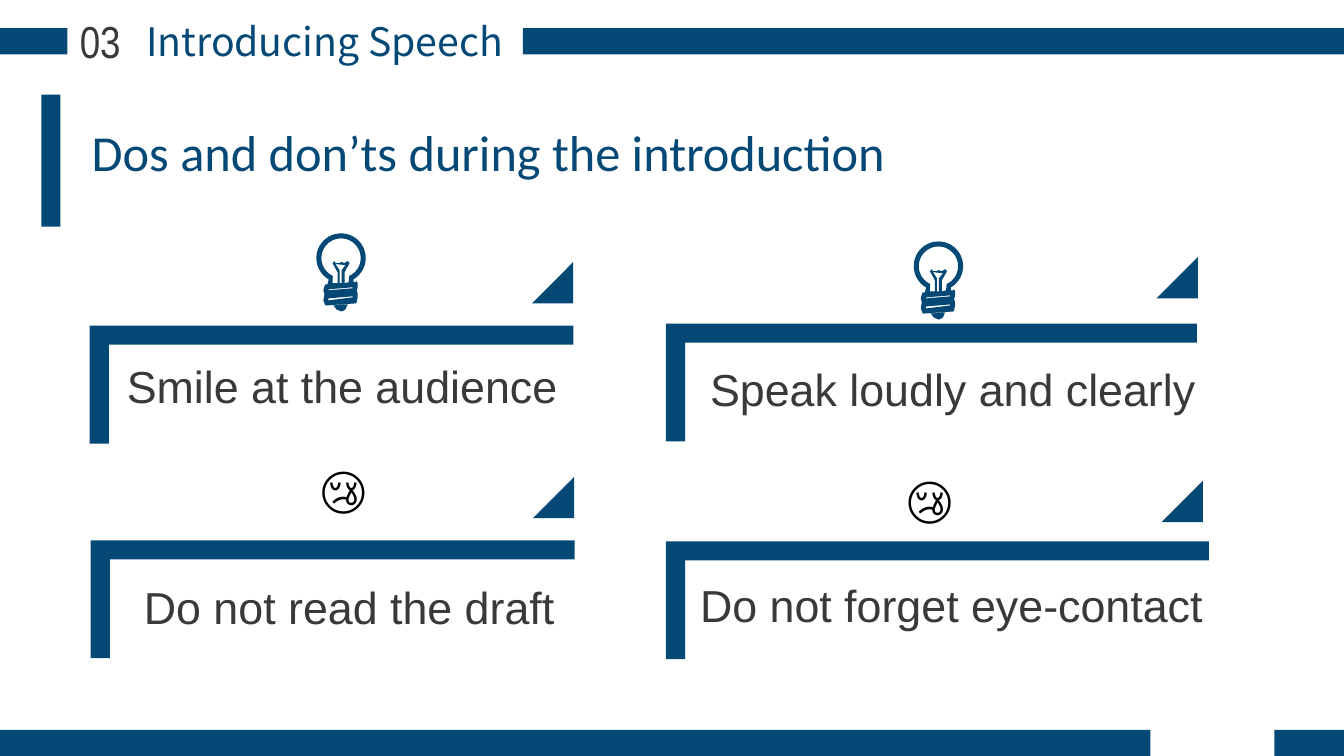
import math
from pptx import Presentation
from pptx.dml.color import RGBColor
from pptx.enum import shapes, text
from pptx.util import Inches, Pt

COLORS = {"navy": "044875", "gray": "3B3838", "black": "000000"}

prs = Presentation()
prs.slide_width, prs.slide_height = Inches(13.34), Inches(7.5)
W, H = prs.slide_width, prs.slide_height
slide = prs.slides.add_slide(prs.slide_layouts[5])


def place(x, y, w, h):
    """Percentages of the slide's width and height as lengths."""
    return [round(share * side / 100) for share, side in zip((x, y, w, h), (W, H, W, H))]


def write(sp, words, size, font, color, align=text.PP_ALIGN.LEFT, leading=None):
    tf = sp.text_frame
    tf.word_wrap = True
    tf.auto_size = text.MSO_AUTO_SIZE.NONE
    tf.vertical_anchor = text.MSO_ANCHOR.TOP
    p = tf.paragraphs[0]
    p.text = words
    p.alignment = align
    if leading:
        p.line_spacing = Pt(leading)
    p.font.size, p.font.name = Pt(size), font
    p.font.color.rgb = RGBColor.from_string(COLORS[color])


# Title
title = slide.shapes.title
title.left, title.top, title.width, title.height = place(6.07, 18.93, 60.64, 10.27)
write(title, "Dos and don’ts during the introduction", 36, "Calibri", "navy", leading=24)

# Header and footer bars, title marker
RECT, TRIANGLE = shapes.MSO_SHAPE.RECTANGLE, shapes.MSO_SHAPE.ISOSCELES_TRIANGLE
BAR = 3.47
bars = [
    (0, 3.73, 5.02, BAR), (38.9, 3.73, 61.1, BAR),
    (0, 96.53, 85.6, BAR), (94.83, 96.53, 5.17, BAR),
    (3.07, 12.53, 1.42, 17.47),
]
solids = [slide.shapes.add_shape(RECT, *place(*bar)) for bar in bars]

# Section number and name
for words, size, font, color, box in [
    ("Introducing Speech", 28, "Noto Sans CJK SC", "navy", (5.25, 1.6, 37.78, 7.6)),
    ("03", 32, "Arial Narrow", "gray", (4.5, 1.2, 5.92, 8.53)),
]:
    write(slide.shapes.add_textbox(*place(*box)), words, size, font, color,
          text.PP_ALIGN.CENTER)

# Light bulb outline, in hundredths of an inch
arcs = []
for radius, start, end in [(24.5, 120, 420), (19.5, 115, 425)]:
    angles = [math.radians(start + (end - start) * i / 40) for i in range(41)]
    arcs.append([(24.5 + radius * math.cos(a), 25 + radius * math.sin(a)) for a in angles])
bulb = [
    arcs[0] + [(37, 49), (39, 49), (40, 48), (41, 50), (41, 54), (40, 58), (41, 60),
               (41, 64), (40, 69), (39, 70), (11, 72), (9, 72), (7, 67), (8, 61),
               (7, 57), (8, 53), (9, 51), (11, 51)],
    arcs[1] + [(32, 49), (28, 50), (28, 39), (33, 30), (31, 28), (28, 30), (25, 29),
               (22, 30), (19, 30), (18, 28), (16, 30), (21, 39), (21, 50), (16, 50)],
    [(29, 32), (25, 37), (25, 50), (23, 50), (23, 37), (19, 31), (24, 31.5)],
    [(31, 71), (17, 72), (20, 76), (25, 78), (29, 76)],
    [(36, 63), (12, 65), (12, 67), (36, 64)],
    [(36, 54), (12, 56), (12, 57), (36, 55)],
]

# Cards: words, leading, bracket (left, top, width), text, icon and corner (left, top)
cards = [
    ("Smile at the audience", 25, (6.67, 43.07, 36), (8.7, 49.33),
     "bulb", (23.54, 30.8), (39.58, 34.67)),
    ("Speak loudly and clearly", 27, (49.55, 42.8, 39.5), (52.1, 49.33),
     "bulb", (67.99, 31.87), (86.06, 34)),
    ("Do not read the draft", 25, (6.75, 71.47, 36), (9.97, 78.53),
     "😢", (23.09, 59.87), (39.66, 63.07)),
    ("Do not forget eye-contact", 25, (49.55, 71.6, 40.4), (51.35, 78.27),
     "😢", (66.72, 61.07), (86.43, 63.6)),
]
THICK = 19
outlines = []
for words, leading, (left, top, width), label, icon, icon_at, corner in cards:
    right, bottom = width * W / Inches(1), 117
    outlines.append(((left, top), [[(0, 0), (right, 0), (right, THICK), (THICK, THICK),
                                    (THICK, bottom), (0, bottom)]]))
    if icon == "bulb":
        outlines.append((icon_at, bulb))
    else:
        write(slide.shapes.add_textbox(*place(*icon_at, 7.12, 9.33)), icon, 36,
              "Calibri", "black")
    sp = slide.shapes.add_shape(TRIANGLE, *place(*corner, 3.07, 5.47))
    sp.adjustments[0] = 1
    solids.append(sp)
    write(slide.shapes.add_textbox(*place(*label, 39.43, 6)), words, 32, "Arial", "gray",
          leading=leading)

# Brackets and bulbs, drawn in thousandths of an inch
for at, contours in outlines:
    builder = None
    for contour in contours:
        points = [(round(x * 10), round(y * 10)) for x, y in contour]
        if builder is None:
            builder = slide.shapes.build_freeform(*points[0], scale=Inches(1) / 1000)
        else:
            builder.move_to(*points[0])
        builder.add_line_segments(points[1:], close=True)
    solids.append(builder.convert_to_shape(*place(*at, 0, 0)[:2]))

# Shared look of every solid shape
for sp in solids:
    sp.shadow.inherit = False
    sp.fill.solid()
    sp.fill.fore_color.rgb = RGBColor.from_string(COLORS["navy"])
    sp.line.fill.background()

prs.save("out.pptx")
